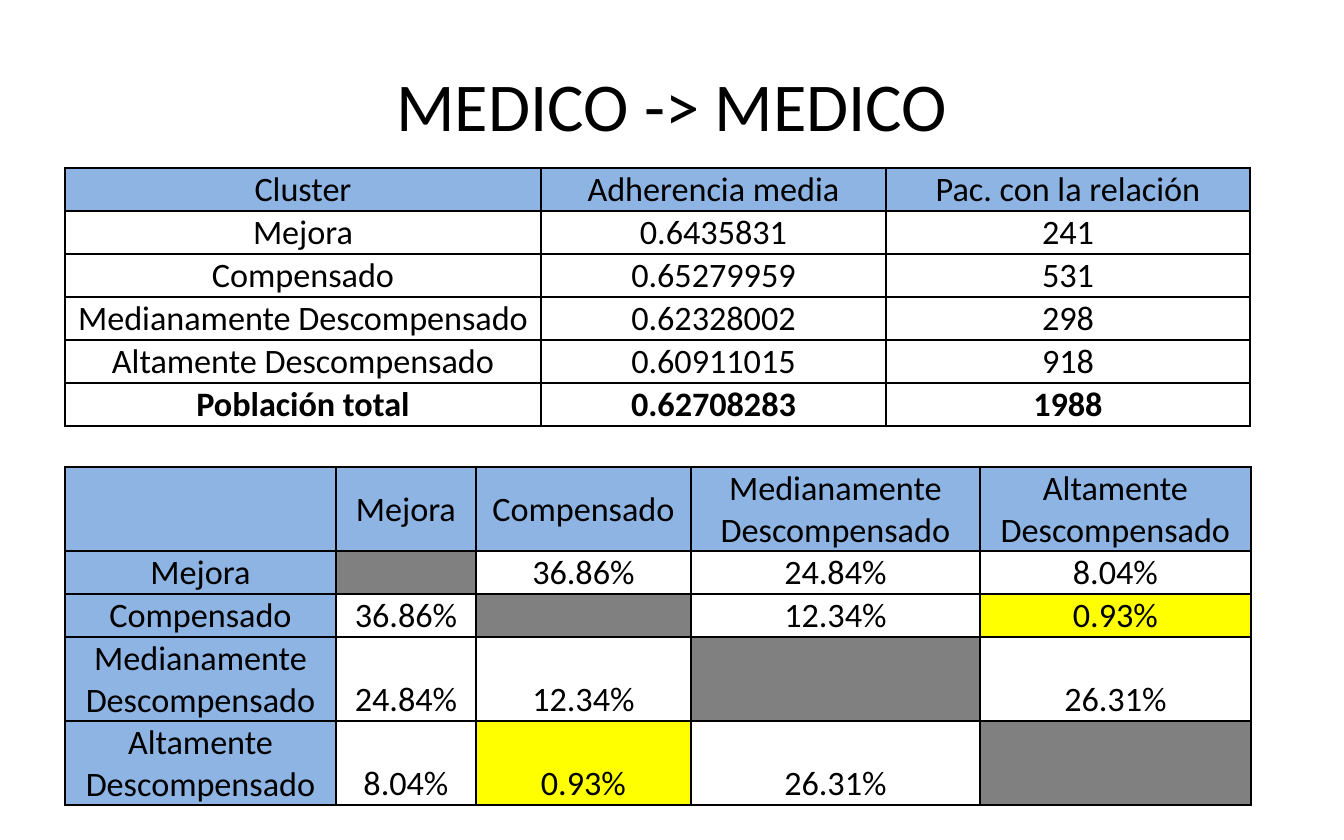
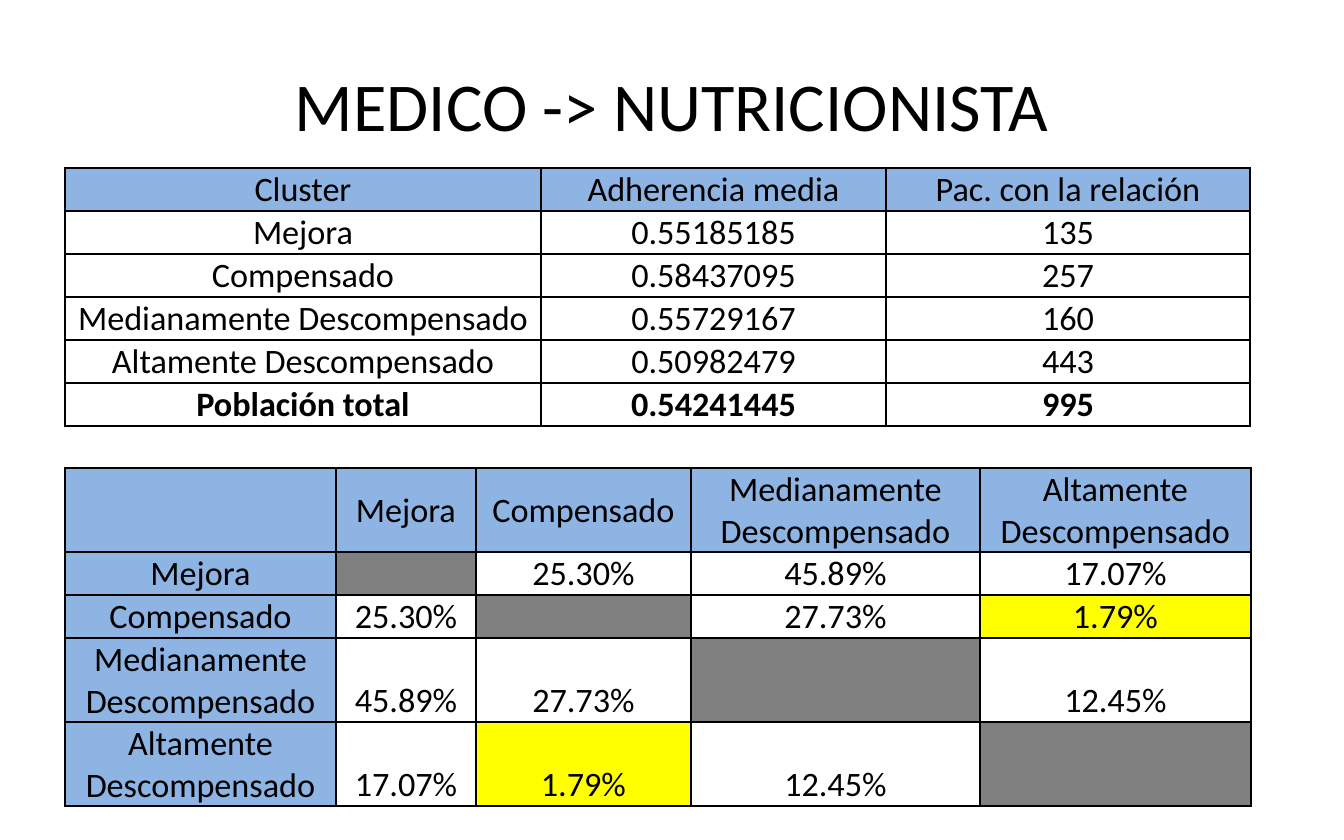
from itertools import combinations

from pptx import Presentation
from pptx import util as u
from pptx.dml.color import RGBColor
from pptx.enum import text
from pptx.oxml import parse_xml
from pptx.oxml.ns import nsdecls

PX = u.Inches(1) / 112
BLACK = RGBColor(0x00, 0x00, 0x00)
WHITE = RGBColor(0xFF, 0xFF, 0xFF)
BLUE = RGBColor(0x8E, 0xB4, 0xE3)
GRAY = RGBColor(0x80, 0x80, 0x80)
YELLOW = RGBColor(0xFF, 0xFF, 0x00)
MIDDLE = text.MSO_ANCHOR.MIDDLE
BOTTOM = text.MSO_ANCHOR.BOTTOM

CLUSTERS = ["Mejora", "Compensado", "Medianamente Descompensado",
            "Altamente Descompensado"]
PAIRS = list(combinations(range(len(CLUSTERS)), 2))
HIGHLIGHT = (1, 3)
HEADINGS = ["Cluster", "Adherencia media", "Pac. con la relación"]
TOTAL = "Población total"

SLIDES = [
    ("MEDICO -> MEDICO",
     ["0.6435831", "0.65279959", "0.62328002", "0.60911015", "0.62708283"],
     ["241", "531", "298", "918", "1988"],
     ["36.86%", "24.84%", "8.04%", "12.34%", "0.93%", "26.31%"], 467),
    ("MEDICO -> NUTRICIONISTA",
     ["0.55185185", "0.58437095", "0.55729167", "0.50982479", "0.54241445"],
     ["135", "257", "160", "443", "995"],
     ["25.30%", "45.89%", "17.07%", "27.73%", "1.79%", "12.45%"], 468),
]


def px(n):
    return u.Emu(round(n * PX))


def write(tf, words, size=22, bold=False, color=BLACK, font="Calibri",
          align=text.PP_ALIGN.CENTER):
    tf.word_wrap = True
    p = tf.paragraphs[0]
    p.alignment = align
    if words:
        r = p.add_run()
        r.text = words
        r.font.size = u.Pt(size)
        r.font.bold = bold
        r.font.name = font
        r.font.color.rgb = color


class Deck:
    def __init__(self):
        self.prs = Presentation()
        self.prs.slide_width, self.prs.slide_height = px(1344), px(840)
        self.s = None

    def slide(self):
        self.s = self.prs.slides.add_slide(self.prs.slide_layouts[6])

    def title(self, words):
        sp = self.s.shapes.add_textbox(px(67), px(34), px(1210), px(140))
        sp.text_frame.vertical_anchor = MIDDLE
        write(sp.text_frame, words, size=44)

    def table(self, x, y, widths, heights, rows):
        sp = self.s.shapes.add_table(len(heights), len(widths), px(x), px(y),
                                     px(sum(widths)), px(sum(heights)))
        tbl = sp.table
        tbl.first_row = tbl.horz_banding = False
        for col, w in zip(tbl.columns, widths):
            col.width = px(w)
        for row, h, cells in zip(tbl.rows, heights, rows):
            row.height = px(h)
            for cell, args in zip(row.cells, cells):
                self.cell(cell, *args)

    def cell(self, cell, words, fill=WHITE, anchor=MIDDLE, bold=False):
        cell.margin_left = cell.margin_right = cell.margin_top = px(1)
        cell.margin_bottom = 0
        cell.vertical_anchor = anchor
        write(cell.text_frame, words, bold=bold)
        tcPr = cell._tc.get_or_add_tcPr()
        for side in "LRTB":
            tcPr.append(parse_xml(
                f'<a:ln{side} {nsdecls("a")} w="{u.Pt(1)}"><a:solidFill>'
                f'<a:srgbClr val="{BLACK}"/></a:solidFill></a:ln{side}>'))
        cell.fill.solid()
        cell.fill.fore_color.rgb = fill

    def matrix(self, y, values):
        shares = dict(zip(PAIRS, values))

        def share(i, j):
            if i == j:
                return "", GRAY
            pair = min(i, j), max(i, j)
            return shares[pair], YELLOW if pair == HIGHLIGHT else WHITE, BOTTOM

        rows = [[(label, BLUE) for label in ["", *CLUSTERS]]]
        for i, label in enumerate(CLUSTERS):
            rows.append([(label, BLUE)] + [share(i, j) for j in range(len(CLUSTERS))])
        self.table(65, y, [271, 140, 215, 289, 271], [84, 43, 43, 84, 84], rows)

    def summary(self, adherence, patients):
        rows = [[(label, BLUE) for label in HEADINGS]]
        for label, *values in zip([*CLUSTERS, TOTAL], adherence, patients):
            bold = label == TOTAL
            rows.append([(label, WHITE, MIDDLE, bold)]
                        + [(v, WHITE, BOTTOM, bold) for v in values])
        self.table(65, 168, [476, 345, 364], [43] * len(rows), rows)


def main():
    deck = Deck()
    for title, adherence, patients, shares, y in SLIDES:
        deck.slide()
        deck.title(title)
        deck.matrix(y, shares)
        deck.summary(adherence, patients)
    deck.prs.save("out.pptx")


if __name__ == "__main__":
    main()
